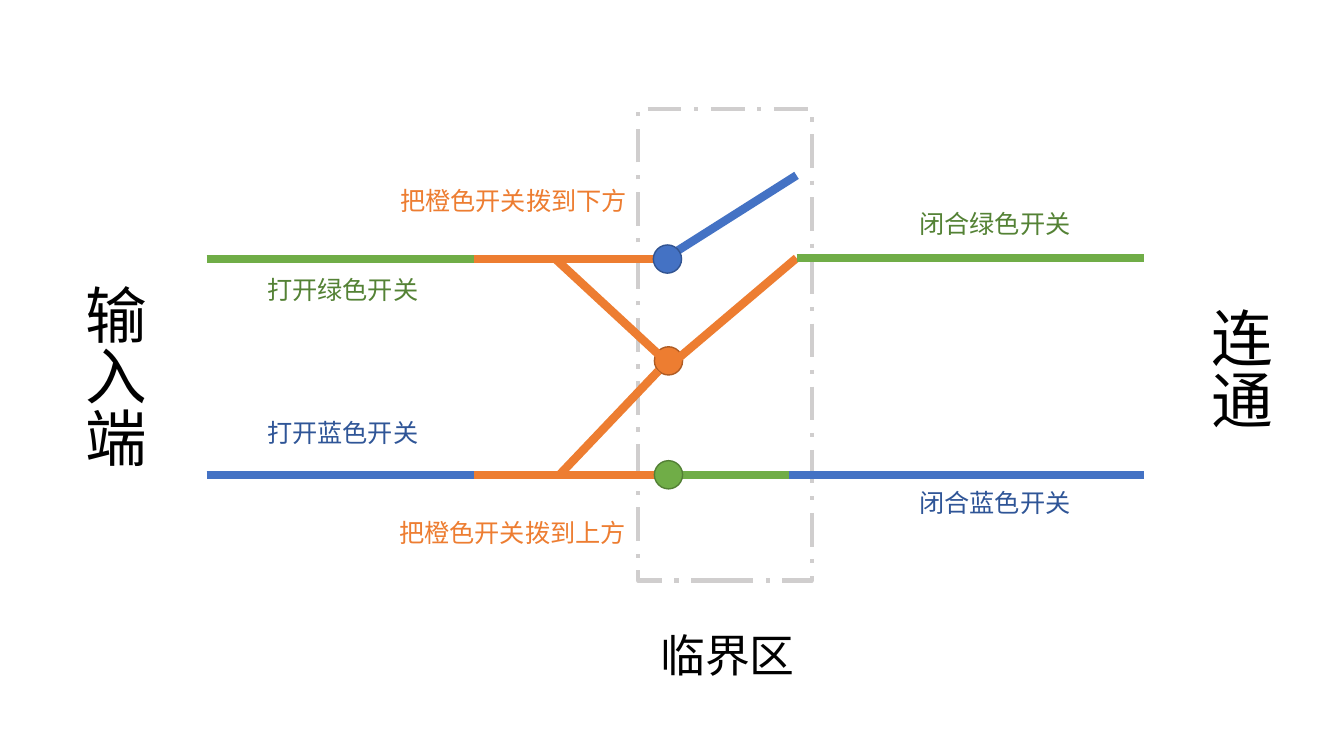
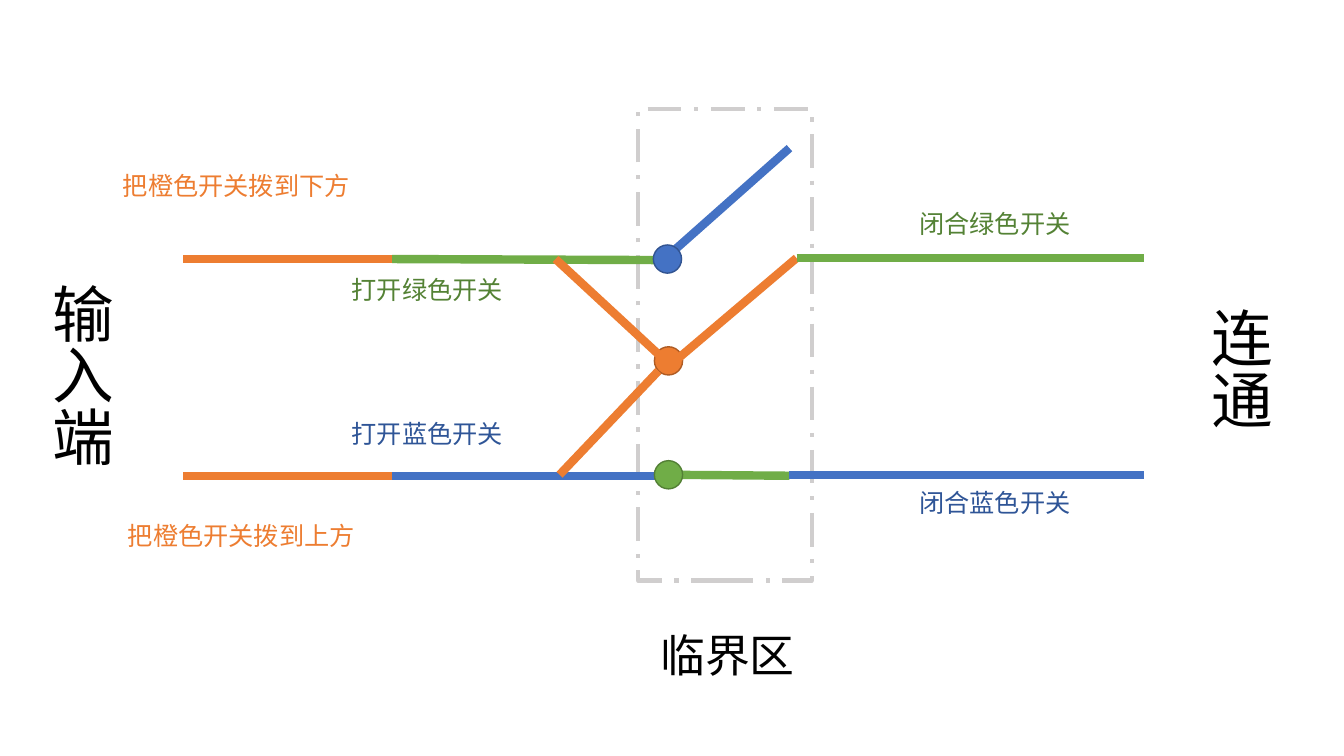
from dataclasses import dataclass

from lxml import etree
from pptx import Presentation
from pptx import util as u
from pptx.dml.color import RGBColor
from pptx.enum import dml, shapes, text
from pptx.oxml.ns import qn

COLUMNS, ROWS = 13.33, 7.5


class Theme:
    font = "Noto Sans CJK SC"
    blue, orange, green = "4472C4", "ED7D31", "70AD47"
    edge = {blue: "325491", orange: "AF5C24", green: "538035"}
    label = {blue: "2F5597", orange: orange, green: "548235"}
    black, frame = "000000", "D0CECE"
    label_size, caption_size, side_size = 18, 32, 44
    wire_width, frame_width, edge_width = 6, 3, 1
    node = 0.28


@dataclass
class Box:
    left: float
    top: float
    width: float
    height: float

    def point(self, column, row):
        return u.Inches(self.left + column), u.Inches(self.top + row)


@dataclass
class Variant:
    inputs: Box
    joint: float
    first: tuple
    second: tuple
    upper_end: float
    upper_drop: float
    open_left: float
    open_rows: tuple
    flip_down: tuple
    flip_up: tuple
    side: tuple
    blue_tip: tuple
    green_tip: tuple


ZONE = Box(6.33, 1.08, 1.72, 4.68)
OUTPUTS = Box(7.83, 2.56, 3.52, 2.15)

VARIANTS = [
    Variant(
        inputs=Box(2.05, 2.57, 4.72, 2.14), joint=2.65,
        first=(Theme.green, Theme.blue), second=(Theme.orange, Theme.orange),
        upper_end=4.71, upper_drop=0,
        open_left=0.5, open_rows=(0.1, 1.52),
        flip_down=(1.82, -0.78), flip_up=(1.81, 2.51), side=(-1.44, 0.15),
        blue_tip=(1.57, 0.66), green_tip=(1.57, 3.63)),
    Variant(
        inputs=Box(1.82, 2.57, 4.71, 2.15), joint=2.07,
        first=(Theme.orange, Theme.orange), second=(Theme.green, Theme.blue),
        upper_end=4.67, upper_drop=0.01,
        open_left=1.57, open_rows=(0.1, 1.53),
        flip_down=(-0.7, -0.93), flip_up=(-0.65, 2.54), side=(-1.54, 0.14),
        blue_tip=(1.5, 0.39), green_tip=(1.5, 3.64)),
]


def rgb(value):
    return RGBColor.from_string(value)


def add_wire(page, box, color, start, end):
    wire = page.shapes.add_connector(
        shapes.MSO_CONNECTOR.STRAIGHT, *box.point(*start), *box.point(*end))
    wire.line.color.rgb = rgb(color)
    wire.line.width = u.Pt(Theme.wire_width)
    etree.SubElement(wire.element.spPr, qn("a:effectLst"))


def add_node(page, box, color, column, row):
    size = Theme.node
    node = page.shapes.add_shape(
        shapes.MSO_SHAPE.OVAL, *box.point(column - size / 2, row - size / 2),
        u.Inches(size), u.Inches(size))
    node.shadow.inherit = False
    node.fill.solid()
    node.fill.fore_color.rgb = rgb(color)
    node.line.color.rgb = rgb(Theme.edge[color])
    node.line.width = u.Pt(Theme.edge_width)


def add_text(page, box, words, place, extent, size, color=Theme.black, vertical=False):
    label = page.shapes.add_textbox(*box.point(*place), *map(u.Inches, extent))
    frame = label.text_frame
    frame.word_wrap = True
    frame.auto_size = text.MSO_AUTO_SIZE.SHAPE_TO_FIT_TEXT
    if vertical:
        label.element.txBody.find(qn("a:bodyPr")).set("vert", "eaVert")
    span = frame.paragraphs[0].add_run()
    span.text = words
    span.font.name = Theme.font
    span.font.size = u.Pt(size)
    span.font.color.rgb = rgb(color)
    east_asian = etree.SubElement(span.font._element, qn("a:ea"))
    east_asian.set("typeface", Theme.font)


def add_label(page, box, words, color, place):
    width = 0.39 + 0.25 * len(words) if len(words) < 9 else 2.48
    add_text(page, box, words, place, (width, 0.4), Theme.label_size, Theme.label[color])


def draw_frame(page, box):
    frame = page.shapes.add_shape(
        shapes.MSO_SHAPE.RECTANGLE, *box.point(0, 0),
        u.Inches(box.width), u.Inches(box.height))
    frame.shadow.inherit = False
    frame.fill.background()
    frame.line.color.rgb = rgb(Theme.frame)
    frame.line.width = u.Pt(Theme.frame_width)
    frame.line.dash_style = dml.MSO_LINE.LONG_DASH_DOT
    add_text(page, box, "临界区", (0.12, box.height + 0.42), (1.59, 0.64),
             Theme.caption_size)


def draw_inputs(page, box, variant):
    tracks = ((0, variant.upper_end, variant.upper_drop), (box.height, box.width, 0))
    for (row, end, drop), first, second in zip(tracks, variant.first, variant.second):
        add_wire(page, box, second, (variant.joint, row), (end, row + drop))
        add_wire(page, box, first, (0, row), (variant.joint, row))
    opened = (("打开绿色开关", Theme.green), ("打开蓝色开关", Theme.blue))
    for (words, color), row in zip(opened, variant.open_rows):
        add_label(page, box, words, color, (variant.open_left, row))
    add_label(page, box, "把橙色开关拨到下方", Theme.orange, variant.flip_down)
    add_label(page, box, "把橙色开关拨到上方", Theme.orange, variant.flip_up)
    add_text(page, box, "输入端", variant.side, (0.94, 2.14), Theme.side_size,
             vertical=True)


def draw_switches(page, box, variant):
    upper, middle, lower = 1.49, 2.5, 3.63
    add_node(page, box, Theme.orange, 0.3, middle)
    add_wire(page, box, Theme.blue, (0.26, upper), variant.blue_tip)
    add_node(page, box, Theme.blue, 0.29, upper)
    add_wire(page, box, Theme.green, (0.26, lower), variant.green_tip)
    add_node(page, box, Theme.green, 0.3, lower)
    for start, end in (((1.57, 1.48), (0.38, 2.49)),
                       ((-0.82, upper), (0.26, 2.49)),
                       ((-0.78, lower), (0.2, 2.6))):
        add_wire(page, box, Theme.orange, start, end)


def draw_outputs(page, box):
    for words, color, start, row, label_row in (
            ("闭合绿色开关", Theme.green, 0.07, 0, -0.54),
            ("闭合蓝色开关", Theme.blue, 0, box.height, 2.23)):
        add_wire(page, box, color, (start, row), (box.width, row))
        add_label(page, box, words, color, (1.19, label_row))
    add_text(page, box, "连通", (3.95, 0.39), (0.94, 1.46), Theme.side_size,
             vertical=True)


def draw_circuit(deck, variant):
    page = deck.slides.add_slide(deck.slide_layouts[6])
    draw_frame(page, ZONE)
    draw_inputs(page, variant.inputs, variant)
    draw_switches(page, ZONE, variant)
    draw_outputs(page, OUTPUTS)


def main():
    deck = Presentation()
    deck.slide_width = u.Inches(COLUMNS)
    deck.slide_height = u.Inches(ROWS)
    for variant in VARIANTS:
        draw_circuit(deck, variant)
    deck.save("out.pptx")


if __name__ == "__main__":
    main()
